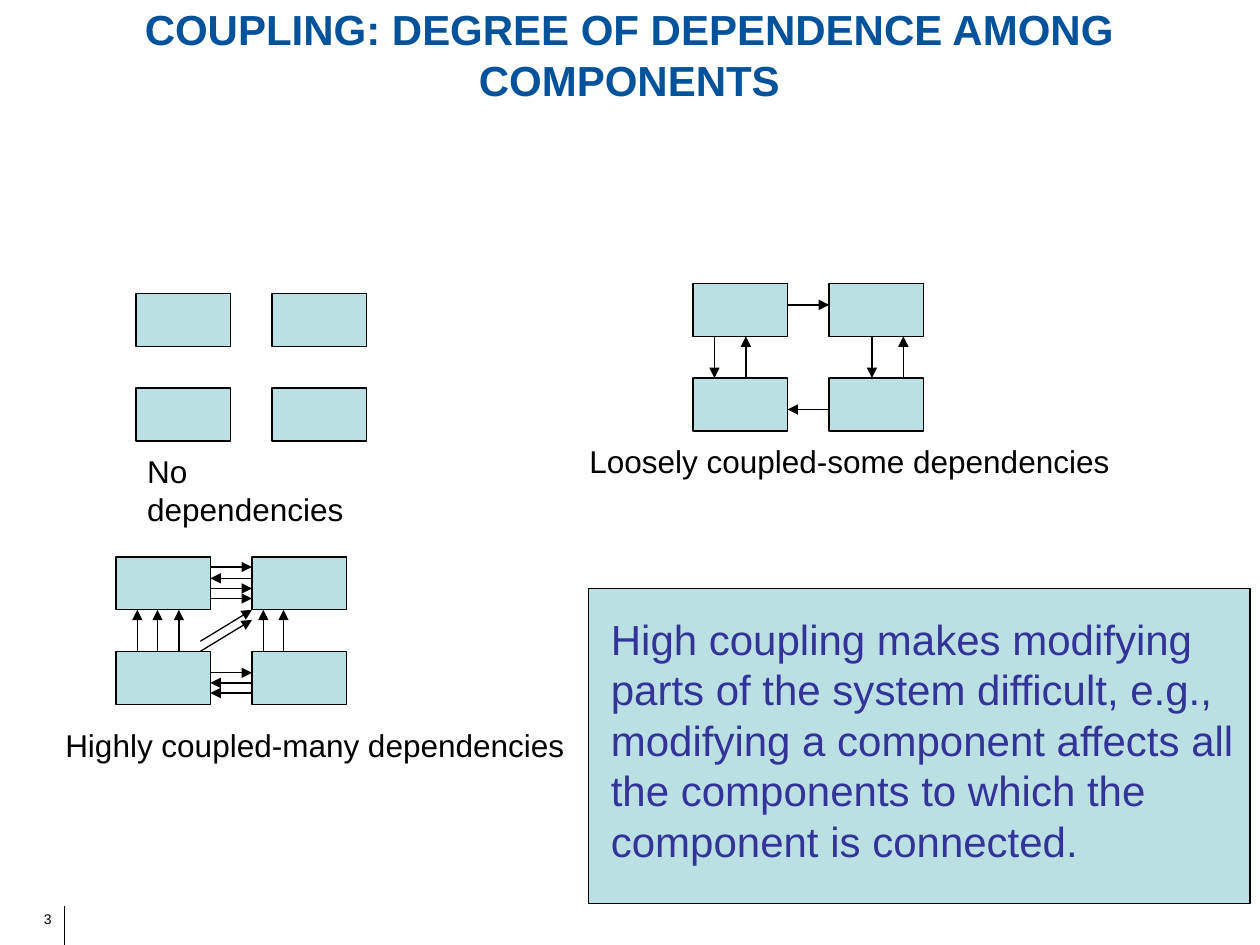
import pptx
import pptx.util
import pptx.dml.color
import pptx.enum.shapes
import pptx.enum.text
from dataclasses import dataclass
from itertools import product
from lxml import etree

Inches, Pt = pptx.util.Inches, pptx.util.Pt
RGB = pptx.dml.color.RGBColor.from_string
ALIGN = pptx.enum.text.PP_ALIGN
ANCHOR = pptx.enum.text.MSO_ANCHOR
AUTOSIZE = pptx.enum.text.MSO_AUTO_SIZE


@dataclass(frozen=True)
class Theme:
    font: str = "Arial"
    ink: str = "000000"
    title: str = "00529B"
    message: str = "333399"
    panel: str = "BBE0E3"
    large: int = 24
    label: int = 18
    small: int = 8
    line: float = 0.75


theme = Theme()
deck = pptx.Presentation()
deck.slide_width, deck.slide_height = Inches(10), Inches(7.5)
slide = deck.slides.add_slide(deck.slide_layouts[5])


def write(holder, text, size, color, bold=False, align=ALIGN.LEFT):
    paragraph = holder.text_frame.paragraphs[0]
    paragraph.alignment = align
    run = paragraph.add_run()
    run.text = text
    run.font.name, run.font.size, run.font.bold = theme.font, Pt(size), bold
    run.font.color.rgb = RGB(color)
    return paragraph


def draw_line(x1, y1, x2, y2, arrow=True):
    line = slide.shapes.add_connector(
        pptx.enum.shapes.MSO_CONNECTOR.STRAIGHT,
        Inches(x1), Inches(y1), Inches(x2), Inches(y2))
    line.line.color.rgb = RGB(theme.ink)
    line.line.width = Pt(theme.line)
    if arrow:
        tip = etree.SubElement(line.line._get_or_add_ln(), pptx.oxml.ns.qn("a:tailEnd"))
        tip.set("type", "triangle")
    etree.SubElement(line._element.spPr, pptx.oxml.ns.qn("a:effectLst"))


# Footer: page number beside a short rule
draw_line(0.51, 7.19, 0.51, 7.5, arrow=False)
page_number = slide.shapes.add_textbox(Inches(0.05), Inches(7.18), Inches(0.36), Inches(0.23))
page_number.text_frame.word_wrap = True
page_number.text_frame.margin_right = 0
write(page_number, "3", theme.small, theme.ink, align=ALIGN.RIGHT)

# Title
title = slide.shapes.title
title.left, title.top, title.width, title.height = (
    Inches(0.33), Inches(0.02), Inches(9.33), Inches(0.82))
frame = title.text_frame
frame.auto_size, frame.word_wrap = AUTOSIZE.NONE, True
frame.vertical_anchor = ANCHOR.MIDDLE
frame.margin_left = frame.margin_right = frame.margin_top = frame.margin_bottom = Inches(0.05)
write(title, "COUPLING: DEGREE OF DEPENDENCE AMONG COMPONENTS",
      theme.large, theme.title, bold=True, align=ALIGN.CENTER)

# Each diagram is a 2 x 2 grid of components; arrows are relative to its corner
BOX_W, BOX_H = 0.75, 0.42
STEP_X, STEP_Y = 1.08, 0.75


# Arrows across the column gap at height y, and across the row gap at x
right, left = (BOX_W, STEP_X), (STEP_X, BOX_W)
down, up = (BOX_H, STEP_Y), (STEP_Y, BOX_H)
loose_across = [(0.17, right), (1, left)]
loose_upright = [(0.17, down), (0.42, up), (1.42, down), (1.67, up)]
high_across = [(0.08, right), (0.17, left), (0.25, right), (0.33, right),
               (0.92, right), (1, left), (1.08, left)]
high_upright = [(x, up) for x in (0.17, 0.33, 0.5, 1.17, 1.33)]
high_diagonal = [(0.67, y, STEP_X, y - 0.25) for y in (0.67, 0.75)]

# Corner, label, label position and width, arrows
diagrams = [
    (1.08, 2.33, "No dependencies", 1.07, 3.54, 2.14, [], [], []),
    (5.5, 2.25, "Loosely coupled-some dependencies", 4.58, 3.46, 4.33,
     loose_across, loose_upright, []),
    (0.92, 4.42, "Highly coupled-many dependencies", 0.42, 5.71, 4.16,
     high_across, high_upright, high_diagonal),
]
panels = [(4.67, 4.67, 5.25, 2.5)]
for x, y, *_ in diagrams:
    panels += [(x + column * STEP_X, y + row * STEP_Y, BOX_W, BOX_H)
               for column, row in product(range(2), repeat=2)]

# Message panel and component boxes
for bounds in panels:
    panel = slide.shapes.add_shape(
        pptx.enum.shapes.MSO_SHAPE.RECTANGLE, *map(Inches, bounds))
    panel.shadow.inherit = False
    panel.fill.solid()
    panel.fill.fore_color.rgb = RGB(theme.panel)
    panel.line.color.rgb = RGB(theme.ink)
    panel.line.width = Pt(theme.line)

# Labels and arrows
for x, y, text, label_x, label_y, label_w, across, upright, diagonal in diagrams:
    label = slide.shapes.add_textbox(
        Inches(label_x), Inches(label_y), Inches(label_w), Inches(0.4))
    label.text_frame.word_wrap = False
    write(label, text, theme.label, theme.ink)
    arrows = [(start, at, end, at) for at, (start, end) in across]
    arrows += [(at, start, at, end) for at, (start, end) in upright]
    for x1, y1, x2, y2 in arrows + diagonal:
        draw_line(x + x1, y + y1, x + x2, y + y2)

# Message
message = slide.shapes.add_textbox(Inches(4.75), Inches(4.82), Inches(5.33), Inches(2.1))
message.text_frame.word_wrap = True
message_paragraph = write(
    message,
    "High coupling makes modifying parts of the system difficult, e.g., modifying "
    "a component affects all the components to which the component is connected.",
    theme.large, theme.message)
message_paragraph.space_before = Pt(6)

deck.save("out.pptx")
